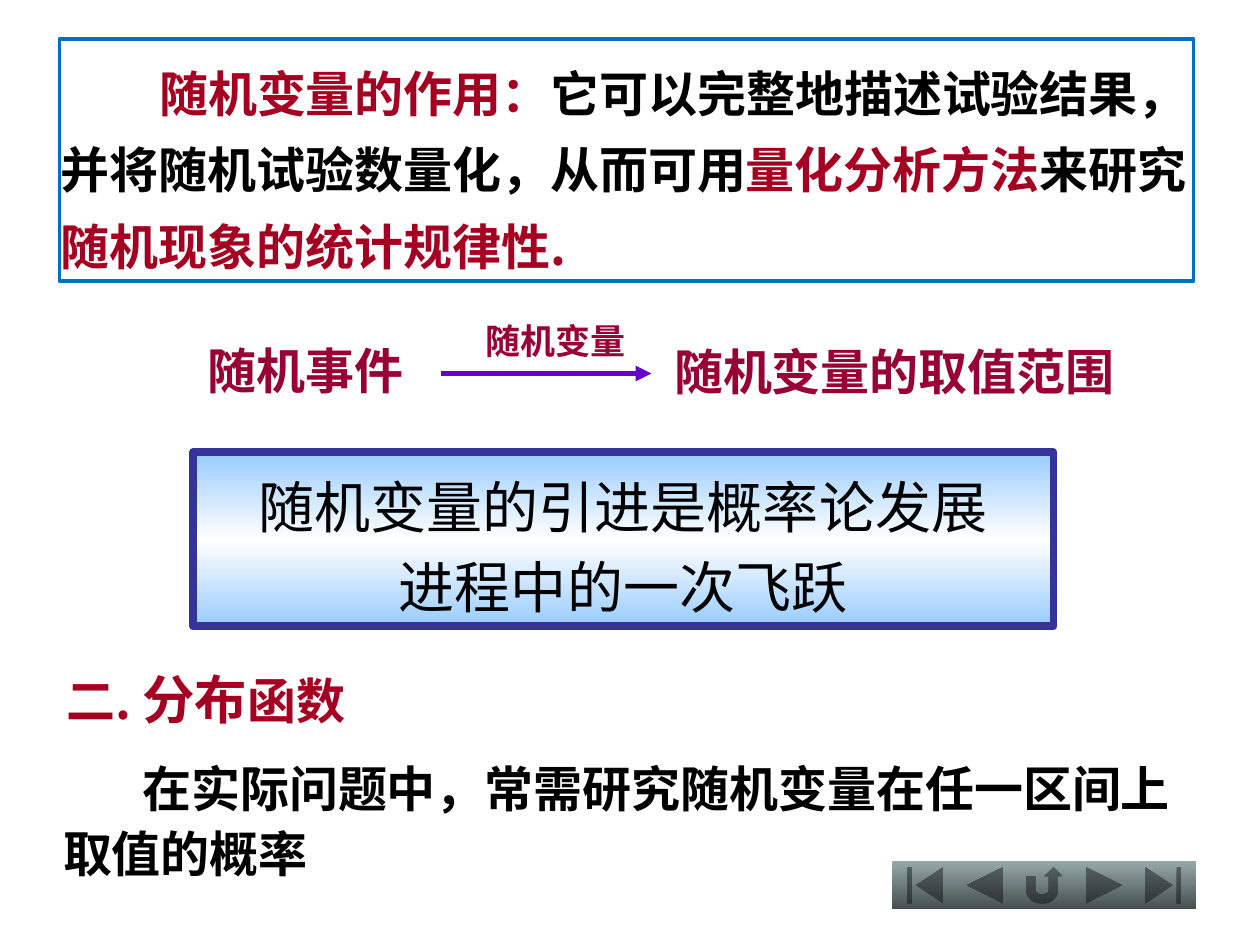
"""Build the slide on the role of random variables and the distribution function."""
import copy

import lxml.etree
import pptx
import pptx.dml.color
import pptx.enum.shapes
import pptx.enum.text
import pptx.oxml
import pptx.oxml.ns
import pptx.util

Cm = pptx.util.Cm
Pt = pptx.util.Pt
qn = pptx.oxml.ns.qn
Shape = pptx.enum.shapes.MSO_SHAPE
Align = pptx.enum.text.PP_ALIGN
CJK = "Noto Sans CJK SC"
COLORS = {
    "red": "A50021", "crimson": "990033", "black": "000000",
    "frame": "0070C0", "navy": "333399", "arrow": "6600CC",
    "sky": "99CCFF", "white": "FFFFFF",
    "button_top": "96A9A9", "button_bottom": "454E4E",
}


def rgb(name):
    """Return the named colour."""
    return pptx.dml.color.RGBColor.from_string(COLORS[name])


def write(shape, paragraphs, bold=True, latin=CJK, align=Align.LEFT, spacing=None,
          indent=0, margins=(0.25, 0.13), wrap=True):
    """Fill a shape with paragraphs made of (text, size, colour) runs."""
    frame = shape.text_frame
    frame.auto_size = pptx.enum.text.MSO_AUTO_SIZE.NONE
    frame.word_wrap = wrap
    frame.vertical_anchor = pptx.enum.text.MSO_ANCHOR.TOP
    frame.margin_left = frame.margin_right = Cm(margins[0])
    frame.margin_top = frame.margin_bottom = Cm(margins[1])
    for number, runs in enumerate(paragraphs):
        paragraph = frame.add_paragraph() if number else frame.paragraphs[0]
        paragraph.alignment = align
        paragraph.space_before = Pt(0)
        paragraph.line_spacing = spacing
        properties = paragraph._p.get_or_add_pPr()
        properties.set("marL", "0")
        properties.set("indent", str(Cm(indent)))
        lxml.etree.SubElement(properties, qn("a:buNone"))
        for text, size, color in runs:
            run = paragraph.add_run()
            run.text = text
            run.font.name = latin
            run.font.size = Pt(size)
            run.font.bold = bold
            run.font.color.rgb = rgb(color)
            east_asian = lxml.etree.Element(qn("a:ea"), typeface=CJK)
            run._r.rPr.find(qn("a:latin")).addnext(east_asian)


presentation = pptx.Presentation()
presentation.slide_width = Cm(25.4)
presentation.slide_height = Cm(19.05)
slide = presentation.slides.add_slide(presentation.slide_layouts[1])
shapes = slide.shapes

title = shapes.title
title.left, title.top, title.width, title.height = Cm(1.09), Cm(13.31), Cm(8.89), Cm(1.52)
write(title, [[("二. ", 28, "red"), ("分布", 30, "red"), ("函数", 28, "red")]])

body = slide.placeholders[1]
body.left, body.top, body.width, body.height = Cm(1.02), Cm(15.04), Cm(23.55), Cm(2.87)
write(body, [[("在实际问题中，常需研究随机变量在任一区间上取值的概率", 28, "black")]],
      latin="Times New Roman", spacing=1.1, indent=1.6)

role_box = shapes.add_shape(Shape.RECTANGLE, Cm(1.2), Cm(0.79), Cm(22.86), Cm(4.88))
role_box.shadow.inherit = False
role_box.fill.background()
role_box.line.color.rgb = rgb("frame")
role_box.line.width = Pt(2)
write(role_box, [[
    ("随机变量的作用：", 28, "red"),
    ("它可以完整地描述试验结果，并将随机试验数量化，从而可用", 28, "black"),
    ("量化分析方法", 28, "red"),
    ("来研究", 28, "black"),
    ("随机现象的统计规律性.", 28, "red"),
]], spacing=1.3, indent=1.98, margins=(0.03, 0.13))

for text, size, left, top, width, height, margins in (
    ("随机事件", 28, 3.94, 6.73, 4.45, 1.45, (0.25, 0.13)),
    ("随机变量", 20, 9.53, 6.32, 3.33, 1.12, (0.25, 0.13)),
    ("随机变量的取值范围", 28, 13.59, 6.88, 8.89, 1.19, (0, 0)),
):
    label = shapes.add_textbox(Cm(left), Cm(top), Cm(width), Cm(height))
    write(label, [[(text, size, "crimson")]], margins=margins, wrap=False)

arrow = shapes.add_connector(pptx.enum.shapes.MSO_CONNECTOR.STRAIGHT,
                             Cm(8.89), Cm(7.53), Cm(13.13), Cm(7.53))
arrow.line.color.rgb = rgb("arrow")
arrow.line.width = Pt(3)
lxml.etree.SubElement(arrow.line._get_or_add_ln(), qn("a:tailEnd"), type="triangle")
lxml.etree.SubElement(arrow._element.spPr, qn("a:effectLst"))

leap_box = shapes.add_shape(Shape.RECTANGLE, Cm(3.89), Cm(9.12), Cm(17.35), Cm(3.51))
leap_box.shadow.inherit = False
leap_box.fill.gradient()
leap_box.fill.gradient_angle = 270
stop_list = leap_box._element.spPr.find(qn("a:gradFill")).find(qn("a:gsLst"))
stop_list.insert(1, copy.deepcopy(stop_list[0]))
for stop, position, color in zip(leap_box.fill.gradient_stops, (0, 0.5, 1),
                                 ("sky", "white", "sky")):
    stop.position = position
    stop.color.rgb = rgb(color)
leap_box.line.color.rgb = rgb("navy")
leap_box.line.width = Pt(4.5)
write(leap_box, [[("随机变量的引进是概率论发展", 32, "black")],
                 [("进程中的一次飞跃", 32, "black")]],
      bold=False, align=Align.CENTER, spacing=1.2)

for number, preset in enumerate((
    Shape.ACTION_BUTTON_BEGINNING, Shape.ACTION_BUTTON_BACK_OR_PREVIOUS,
    Shape.ACTION_BUTTON_RETURN, Shape.ACTION_BUTTON_FORWARD_OR_NEXT,
    Shape.ACTION_BUTTON_END,
)):
    button = shapes.add_shape(preset, Cm(17.99 + 1.2 * number), Cm(17.36), Cm(1.33), Cm(0.97))
    button.shadow.inherit = False
    button.line.fill.background()
    button.fill.gradient()
    button.fill.gradient_angle = 270
    for stop, position, color in zip(button.fill.gradient_stops, (0, 1),
                                     ("button_top", "button_bottom")):
        stop.position = position
        stop.color.rgb = rgb(color)

presentation.save("out.pptx")
